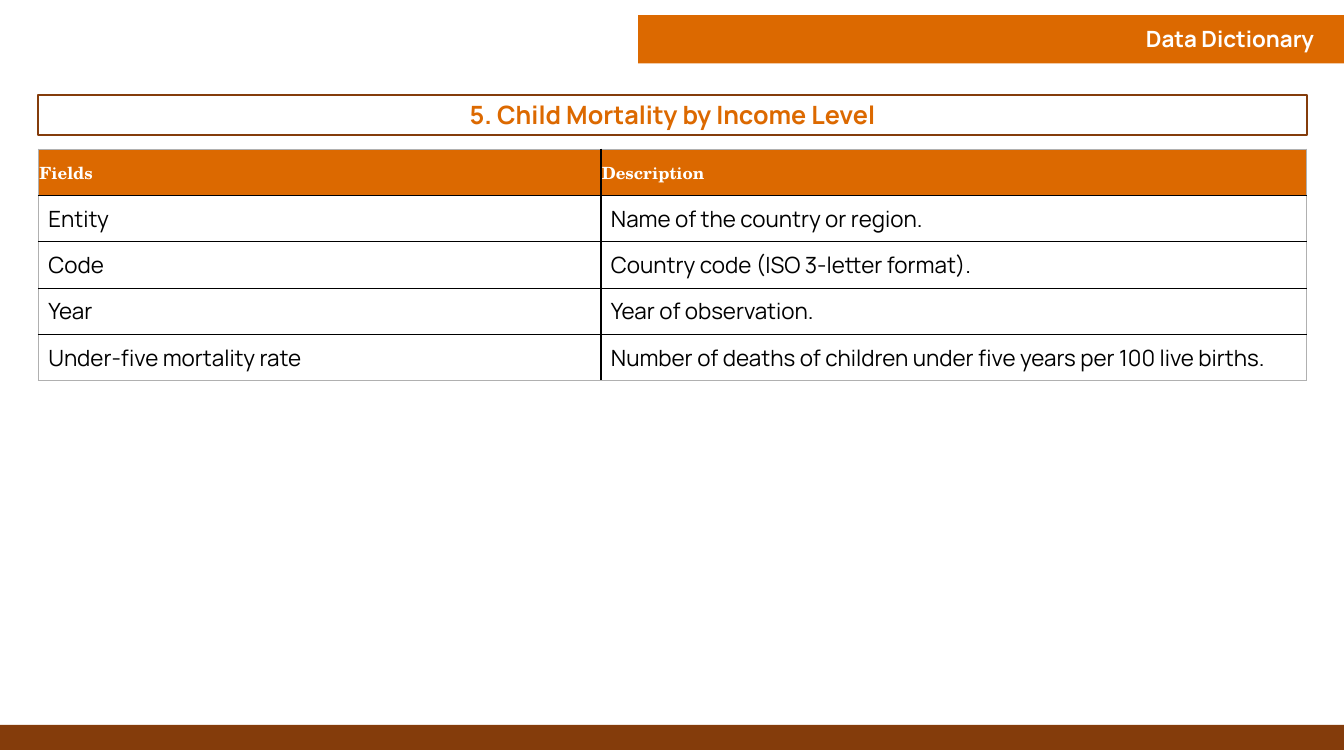
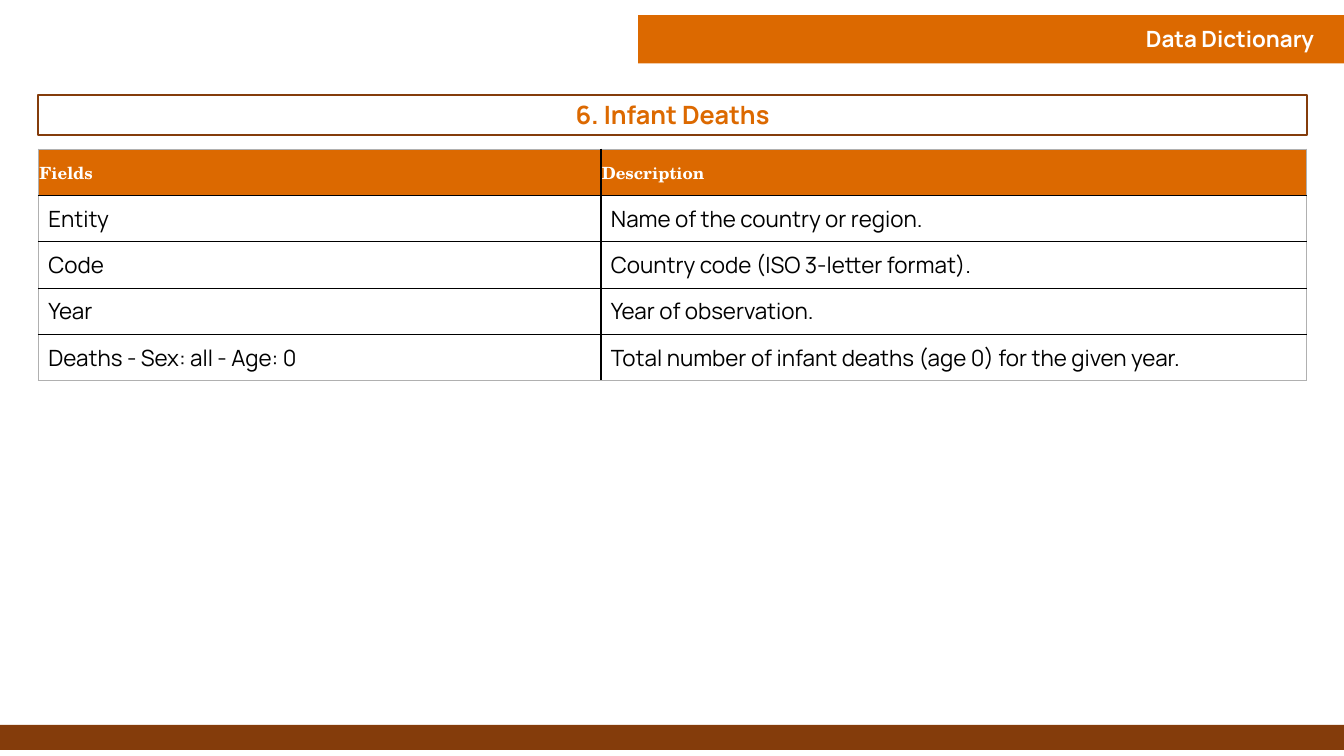
import pptx
import pptx.util
import pptx.dml.color
import pptx.enum.shapes
import pptx.enum.text
import pptx.oxml
import pptx.oxml.ns

Inches = pptx.util.Inches
Align = pptx.enum.text.PP_ALIGN
Anchor = pptx.enum.text.MSO_ANCHOR

ORANGE, BROWN, WHITE, BLACK, GREY = "DC6900", "843C0B", "FFFFFF", "000000", "B0B0B0"
SANS, SERIF = "Manrope", "TeX Gyre Schola"
LEFT, WIDTH = 0.38, 12.58
COLS, ROW = (5.58, 7), 0.46


def color(code):
    return pptx.dml.color.RGBColor.from_string(code)


def write(frame, text, size=16, font=SANS, ink=BLACK, bold=False, align=Align.LEFT):
    frame.word_wrap = True
    para = frame.paragraphs[0]
    para.alignment = align
    run = para.add_run()
    run.text = text
    run.font.size = pptx.util.Pt(size)
    run.font.name = font
    run.font.bold = bold
    run.font.color.rgb = color(ink)


def edge(cell, sides):
    """Draw cell borders; sides maps L, R, T, B to a colour, in that order."""
    props = cell._tc.get_or_add_tcPr()
    for spot, (side, ink) in enumerate(sides.items()):
        width = pptx.util.Pt(0.75 if ink == GREY else 1)
        props.insert(spot, pptx.oxml.parse_xml(
            f'<a:ln{side} {pptx.oxml.ns.nsdecls("a")} w="{width}"><a:solidFill>'
            f'<a:srgbClr val="{ink}"/></a:solidFill></a:ln{side}>'))


class Deck:
    def __init__(self):
        self.prs = pptx.Presentation()
        self.prs.slide_width = Inches(13.33)
        self.prs.slide_height = Inches(7.5)
        self.slide = None

    def page(self, head):
        """Start a slide with the shared bands and header."""
        self.slide = self.prs.slides.add_slide(self.prs.slide_layouts[6])
        self.box(0, 7.19, 13.33, 0.25, fill=BROWN)
        self.box(6.33, 0.15, 7, 0.48, fill=ORANGE)
        self.label(head, 8.82, 0.2, 4.31, 0.37)

    def box(self, x, y, w, h, fill=None, line=None):
        kind = pptx.enum.shapes.MSO_SHAPE.RECTANGLE
        shape = self.slide.shapes.add_shape(kind, *map(Inches, (x, y, w, h)))
        shape.shadow.inherit = False
        if fill:
            shape.fill.solid()
            shape.fill.fore_color.rgb = color(fill)
        else:
            shape.fill.background()
        if line:
            shape.line.color.rgb = color(line)
            shape.line.width = pptx.util.Pt(1.5)
        else:
            shape.line.fill.background()
        return shape

    def label(self, text, x, y, w, h):
        shape = self.slide.shapes.add_textbox(*map(Inches, (x, y, w, h)))
        write(shape.text_frame, text, ink=WHITE, bold=True, align=Align.RIGHT)

    def title(self, text):
        frame = self.box(LEFT, 0.94, WIDTH, 0.4, line=BROWN).text_frame
        frame.vertical_anchor = Anchor.MIDDLE
        write(frame, text, size=18, ink=ORANGE, bold=True, align=Align.CENTER)

    def table(self, rows):
        count = len(rows)
        table = self.slide.shapes.add_table(
            count, len(COLS), Inches(LEFT), Inches(1.48),
            Inches(WIDTH), Inches(ROW * count)).table
        table.first_row = table.horz_banding = False
        for col, width in zip(table.columns, COLS):
            col.width = Inches(width)
        for r, texts in enumerate(rows):
            table.rows[r].height = Inches(ROW)
            for c, text in enumerate(texts):
                cell = table.cell(r, c)
                cell.vertical_anchor = Anchor.MIDDLE
                if r == 0:
                    cell.fill.solid()
                    cell.fill.fore_color.rgb = color(ORANGE)
                    cell.margin_left = cell.margin_right = cell.margin_top = Inches(0.01)
                    cell.margin_bottom = 0
                    write(cell.text_frame, text, size=12, font=SERIF, ink=WHITE, bold=True)
                else:
                    cell.fill.background()
                    write(cell.text_frame, text)
                # Grey outer frame, black inner grid
                outer = {"L": c == 0, "R": c == len(COLS) - 1,
                         "T": r == 0, "B": r == count - 1}
                edge(cell, {k: GREY if out else BLACK for k, out in outer.items()})


# Rows that every data set has
COMMON = [
    ("Fields", "Description"),
    ("Entity", "Name of the country or region."),
    ("Code", "Country code (ISO 3-letter format)."),
    ("Year", "Year of observation."),
]

# Title and own field of each data set
SETS = [
    ("5. Child Mortality by Income Level",
     ("Under-five mortality rate",
      "Number of deaths of children under five years per 100 live births.")),
    ("6. Infant Deaths",
     ("Deaths - Sex: all - Age: 0",
      "Total number of infant deaths (age 0) for the given year.")),
]


def main():
    deck = Deck()
    for title, field in SETS:
        deck.page("Data Dictionary")
        deck.title(title)
        deck.table(COMMON + [field])
    deck.prs.save("out.pptx")


if __name__ == "__main__":
    main()
